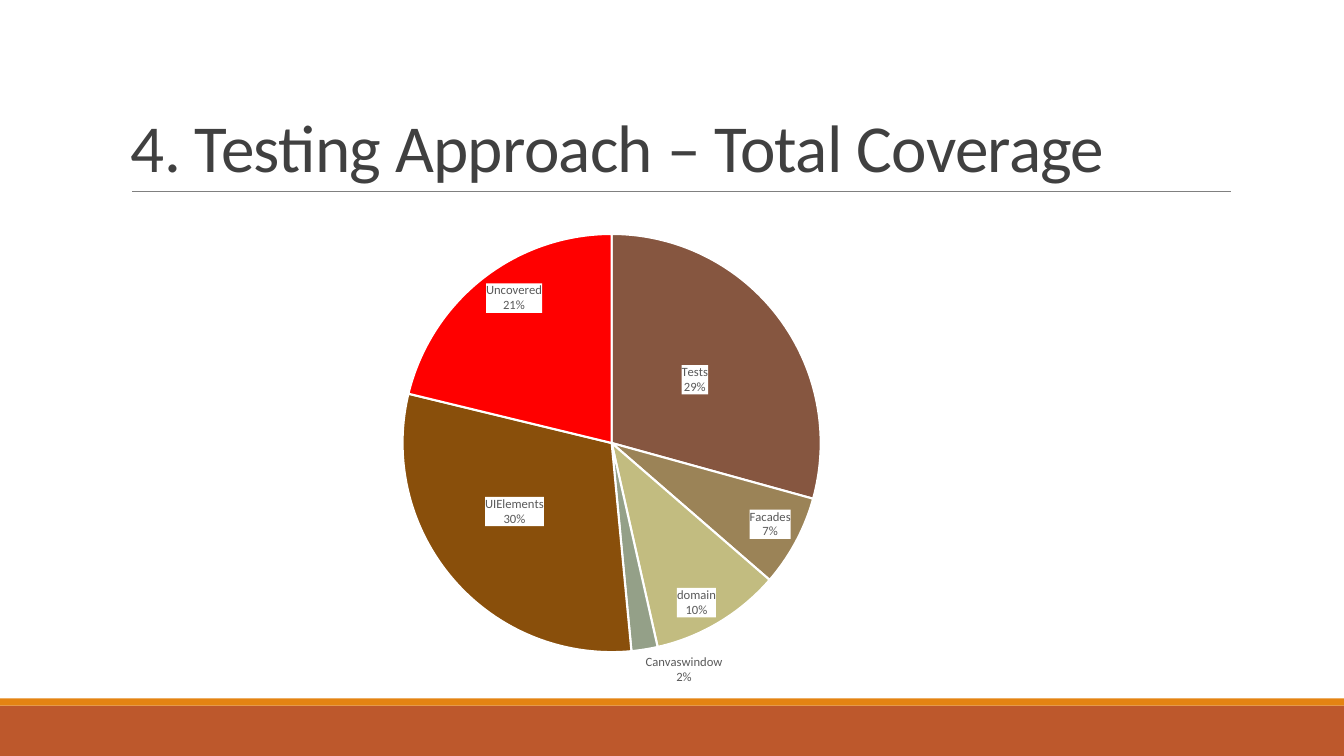
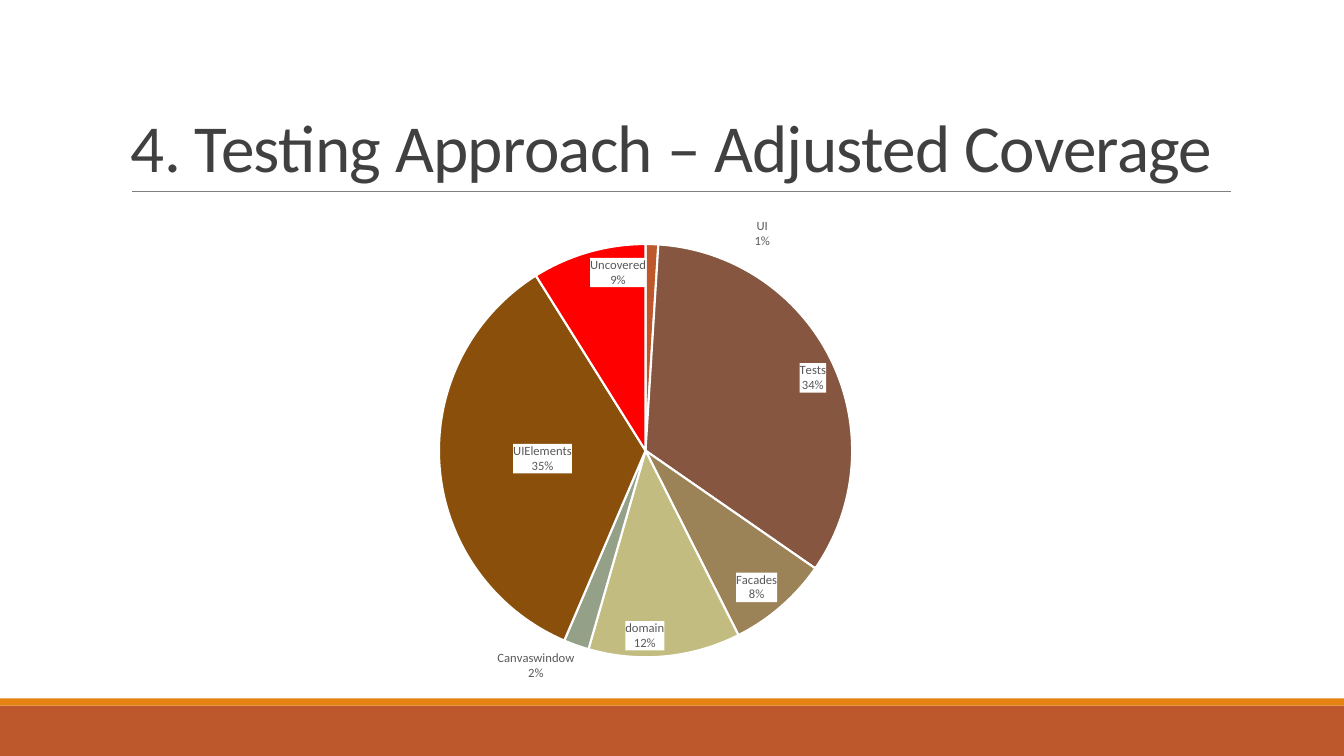
import pptx
import pptx.chart.data
import pptx.dml.color
import pptx.enum.chart
import pptx.enum.shapes
import pptx.enum.text
import pptx.oxml
import pptx.oxml.ns
import pptx.util

Cm = pptx.util.Cm
Pt = pptx.util.Pt
qn = pptx.oxml.ns.qn
Position = pptx.enum.chart.XL_LABEL_POSITION

FONT = "Calibri"
COLORS = {
    "white": "FFFFFF",
    "footer": "BD582C",
    "accent": "E48312",
    "rule": "808080",
    "title": "404040",
    "label": "595959",
}
PACKAGES = {
    "Exceptions": "E48312",
    "UI": "BD582C",
    "Tests": "865640",
    "Facades": "9B8357",
    "domain": "C2BC80",
    "Canvaswindow": "94A088",
    "UIElements": "894F0B",
    "Uncovered": "FF0000",
}
LABEL_POSITIONS = {
    "Exceptions": Position.OUTSIDE_END,
    "UI": Position.OUTSIDE_END,
    "Canvaswindow": Position.OUTSIDE_END,
    "UIElements": Position.CENTER,
}
SLIDES = [
    {
        "title": "4. Testing Approach – Total Coverage",
        "values": [0, 0, 29, 7, 10, 2, 30, 21],
        "box": (3.96, 4.57, 22.91, 13.06),
        "pie": (0.27, 0.1, 0.46, 0.81),
        "centered": ["Tests"],
        "offsets": {"Exceptions": (-0.05, 0), "UI": (0.1, 0), "UIElements": (-0.02, 0)},
    },
    {
        "title": "4. Testing Approach – Adjusted Coverage",
        "values": [0, 1, 34, 8, 12, 2, 35, 9],
        "box": (3.89, 4.83, 23.14, 12.8),
        "pie": (0.31, 0.1, 0.45, 0.82),
        "centered": [],
        "offsets": {"Exceptions": (-0.04, 0), "UI": (0.12, 0.02)},
    },
]


def rgb(color):
    return pptx.dml.color.RGBColor.from_string(color)


def chart_xml(body):
    return pptx.oxml.parse_xml(
        f'<c:root {pptx.oxml.ns.nsdecls("c", "a")}>{body}</c:root>'
    )[0]


def layout_xml(values, extra=""):
    sides = "".join(
        f'<c:{side} val="{value}"/>' for side, value in zip("xywh", values)
    )
    return chart_xml(
        f"<c:layout><c:manualLayout>{extra}{sides}</c:manualLayout></c:layout>"
    )


def write_text(frame, text, *, size, color, spacing=1.0, tracking=0):
    paragraph = frame.paragraphs[0]
    paragraph.line_spacing = spacing
    run = paragraph.add_run()
    run.text = text
    run.font.name = FONT
    run.font.size = Pt(size)
    run.font.color.rgb = rgb(color)
    run.font._element.set("spc", str(tracking))


class Deck:
    def __init__(self):
        self.presentation = pptx.Presentation()
        self.presentation.slide_width = Cm(33.87)
        self.presentation.slide_height = Cm(19.05)
        self.slide = None

    def start_slide(self, title):
        blank = self.presentation.slide_layouts[6]
        self.slide = self.presentation.slides.add_slide(blank)
        self.band(17.78, 1.27, COLORS["footer"])
        self.band(17.6, 0.18, COLORS["accent"])
        self.rule(3.33, 31.01, 4.83)
        self.title(title)

    def band(self, top, height, color):
        shape = self.slide.shapes.add_shape(
            pptx.enum.shapes.MSO_SHAPE.RECTANGLE,
            0, Cm(top), self.presentation.slide_width, Cm(height),
        )
        shape.shadow.inherit = False
        shape.fill.solid()
        shape.fill.fore_color.rgb = rgb(color)
        shape.line.fill.background()

    def rule(self, left, right, top):
        connector = self.slide.shapes.add_connector(
            pptx.enum.shapes.MSO_CONNECTOR.STRAIGHT,
            Cm(left), Cm(top), Cm(right), Cm(top),
        )
        connector.line.color.rgb = rgb(COLORS["rule"])
        connector.line.width = Pt(0.5)
        properties = connector._element.spPr
        properties.append(properties.makeelement(qn("a:effectLst"), {}))

    def title(self, text):
        box = self.slide.shapes.add_textbox(Cm(3.05), Cm(0.79), Cm(27.94), Cm(4.04))
        frame = box.text_frame
        frame.word_wrap = True
        frame.vertical_anchor = pptx.enum.text.MSO_ANCHOR.BOTTOM
        write_text(
            frame, text, size=48, color=COLORS["title"], spacing=0.85, tracking=-50
        )

    def pie_chart(self, values, box, pie, centered, offsets):
        data = pptx.chart.data.CategoryChartData()
        data.categories = list(PACKAGES)
        data.add_series("Series 1", values)
        chart = self.slide.shapes.add_chart(
            pptx.enum.chart.XL_CHART_TYPE.PIE, *map(Cm, box), data
        ).chart
        chart.has_title = False
        chart.has_legend = False
        chart.font.name = FONT
        chart.font.size = Pt(10)
        plot_area = chart._chartSpace.find(".//" + qn("c:plotArea"))
        for layout in plot_area.findall(qn("c:layout")):
            plot_area.remove(layout)
        modes = (
            '<c:layoutTarget val="inner"/><c:xMode val="edge"/><c:yMode val="edge"/>'
        )
        plot_area.insert(0, layout_xml(pie, modes))

        series = chart.plots[0].series[0]
        for index, (name, color) in enumerate(PACKAGES.items()):
            point = series.points[index]
            point.format.fill.solid()
            point.format.fill.fore_color.rgb = rgb(color)
            point.format.line.color.rgb = rgb(COLORS["white"])
            point.format.line.width = Pt(1.5)
            position = LABEL_POSITIONS.get(name, Position.INSIDE_END)
            if name in centered:
                position = Position.CENTER
            self.point_label(point.data_label, position, offsets.get(name))
        for leader_lines in series._element.iter(qn("c:showLeaderLines")):
            leader_lines.set("val", "0")

    def point_label(self, label, position, offset):
        label.font.name = FONT
        label.font.size = Pt(9)
        label.font.color.rgb = rgb(COLORS["label"])
        label.position = position
        element = label._get_or_add_dLbl()
        for tag, shown in (("showVal", 0), ("showCatName", 1), ("showPercent", 1)):
            element.find(qn(f"c:{tag}")).set("val", str(shown))
        if offset:
            element.insert(1, layout_xml(offset))
        text_properties = element.find(qn("c:txPr"))
        for old in element.findall(qn("c:spPr")):
            element.remove(old)
        text_properties.addprevious(
            chart_xml('<c:numFmt formatCode="0%" sourceLinked="0"/>')
        )
        text_properties.addprevious(
            chart_xml(
                f'<c:spPr><a:solidFill><a:srgbClr val="{COLORS["white"]}"/>'
                "</a:solidFill></c:spPr>"
            )
        )
        element.append(chart_xml("<c:separator>\n</c:separator>"))


def main():
    deck = Deck()
    for content in SLIDES:
        deck.start_slide(content["title"])
        deck.pie_chart(
            content["values"], content["box"], content["pie"],
            content["centered"], content["offsets"],
        )
    deck.presentation.save("out.pptx")


if __name__ == "__main__":
    main()
